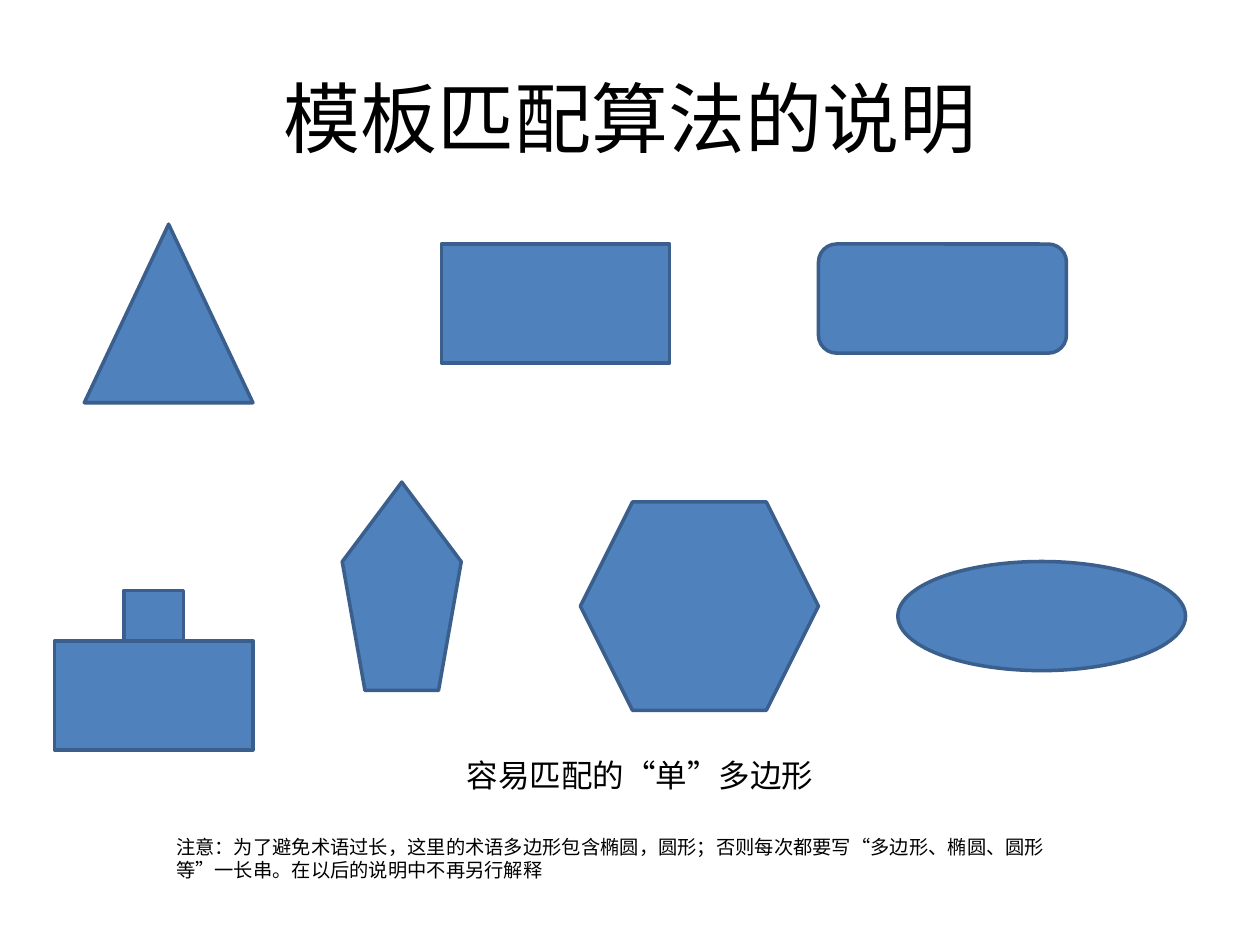
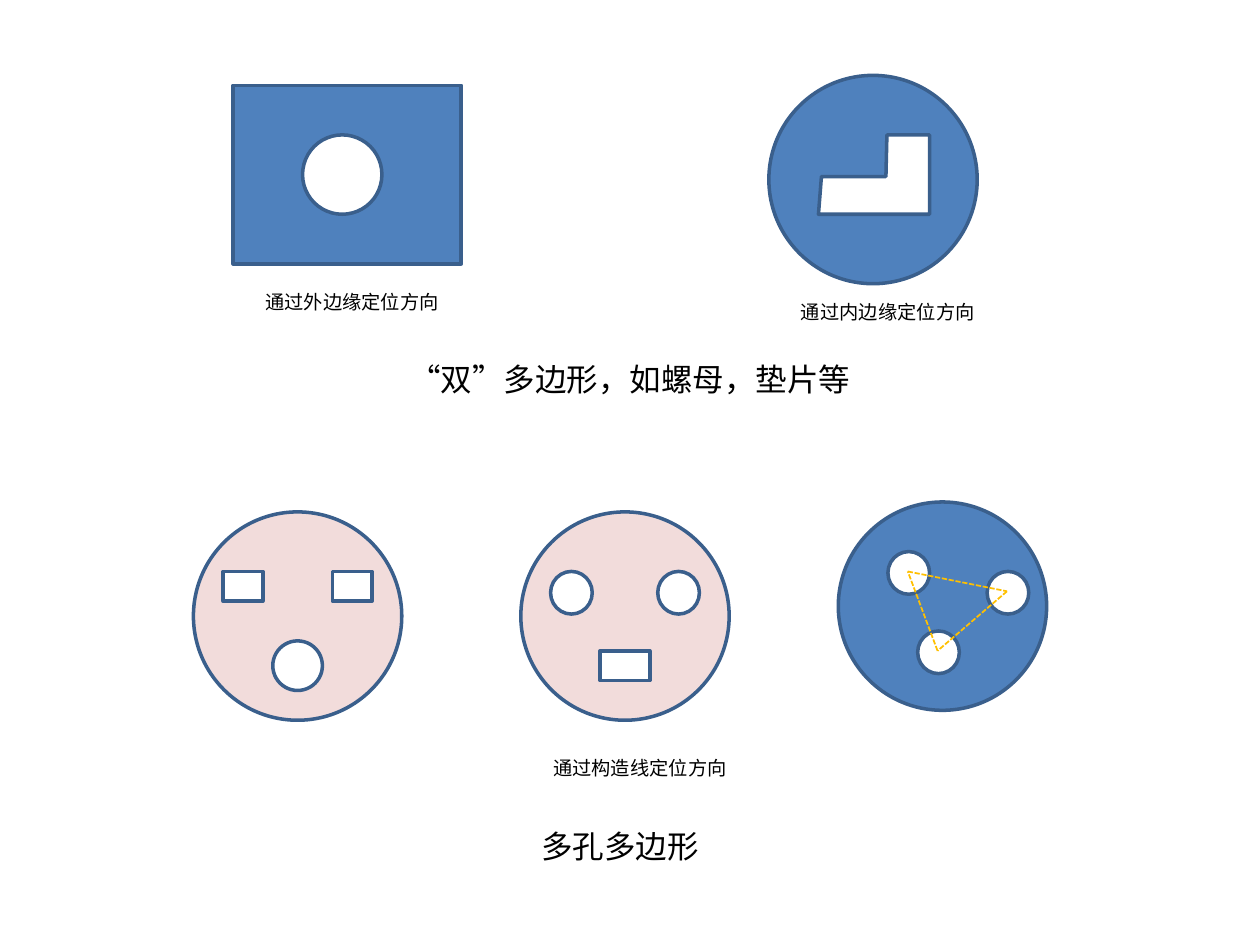
from pptx import Presentation
from pptx.dml.color import RGBColor
from pptx.enum.dml import MSO_LINE
from pptx.enum.shapes import MSO_CONNECTOR, MSO_SHAPE
from pptx.enum.text import MSO_ANCHOR, MSO_AUTO_SIZE, PP_ALIGN
from pptx.util import Inches, Pt
from lxml import etree

RECT, OVAL = MSO_SHAPE.RECTANGLE, MSO_SHAPE.OVAL
TRIANGLE, ROUNDED = MSO_SHAPE.ISOSCELES_TRIANGLE, MSO_SHAPE.ROUNDED_RECTANGLE
PENTAGON, HEXAGON = MSO_SHAPE.REGULAR_PENTAGON, MSO_SHAPE.HEXAGON
STRAIGHT, DASH = MSO_CONNECTOR.STRAIGHT, MSO_LINE.SQUARE_DOT
LEFT, CENTER = PP_ALIGN.LEFT, PP_ALIGN.CENTER
MIDDLE, TOP, GROW = MSO_ANCHOR.MIDDLE, MSO_ANCHOR.TOP, MSO_AUTO_SIZE.SHAPE_TO_FIT_TEXT
NONE = MSO_AUTO_SIZE.NONE

BLUE, EDGE, PINK, WHITE = "4F81BD", "3A5F8C", "F2DCDB", "FFFFFF"
GOLD, BLACK = "FFC000", "000000"
FONT = "Calibri"
A = "http://schemas.openxmlformats.org/drawingml/2006/main"

prs = Presentation()
prs.slide_width, prs.slide_height = Inches(10), Inches(7.5)
cell = prs.slide_width / 127


def grid(*cells):
    return [round(c * cell) for c in cells]


def paint(sp, fill, line=EDGE, width=2):
    sp.shadow.inherit = False
    sp.fill.solid()
    sp.fill.fore_color.rgb = RGBColor.from_string(fill)
    sp.line.color.rgb = RGBColor.from_string(line)
    sp.line.width = Pt(width)


single, multi = [prs.slides.add_slide(prs.slide_layouts[6]) for _ in range(2)]

shapes = [
    (single, RECT, BLUE, 12.5, 59.5, 6, 10),
    (single, TRIANGLE, BLUE, 8.5, 22.6, 17, 18),
    (single, RECT, BLUE, 44.5, 24.6, 23, 12),
    (single, ROUNDED, BLUE, 82.5, 24.6, 25, 11),
    (single, PENTAGON, BLUE, 34.5, 48.6, 12, 21),
    (single, HEXAGON, BLUE, 58.5, 50.6, 24, 21),
    (single, OVAL, BLUE, 90.5, 56.6, 29, 11),
    (single, RECT, BLUE, 5.5, 64.6, 20, 11),
    (multi, RECT, BLUE, 23.5, 8.6, 23, 18),
    (multi, OVAL, WHITE, 30.5, 13.6, 8, 8),
    (multi, OVAL, BLUE, 77.5, 7.6, 21, 21),
    (multi, OVAL, BLUE, 84.5, 50.6, 21, 21),
    (multi, OVAL, PINK, 19.5, 51.6, 21, 21),
    (multi, OVAL, WHITE, 27.5, 64.6, 5, 5),
    (multi, RECT, WHITE, 22.5, 57.6, 4, 3),
    (multi, RECT, WHITE, 33.5, 57.6, 4, 3),
    (multi, OVAL, PINK, 52.5, 51.6, 21, 21),
    (multi, RECT, WHITE, 60.5, 65.6, 5, 3),
]
holes = [(89.5, 55.6), (99.5, 57.6), (92.5, 63.6), (55.5, 57.6), (66.3, 57.6)]
shapes += [(multi, OVAL, WHITE, x, y, 4.2, 4.3) for x, y in holes]

for s, kind, fill, *box in shapes:
    paint(s.shapes.add_shape(kind, *grid(*box)), fill)

notch = [(82.5, 21.6), (93.7, 21.6), (93.7, 13.6), (89.4, 13.6), (89.3, 17.8), (82.8, 17.8)]
start, *rest = [grid(*point) for point in notch]
outline = multi.shapes.build_freeform(*start)
outline.add_line_segments(rest, close=True)
paint(outline.convert_to_shape(), WHITE)

corners = [(91.5, 57.6), (101.5, 59.6), (94.5, 65.6)]
for begin, end in zip(corners, corners[1:] + corners[:1]):
    line = multi.shapes.add_connector(STRAIGHT, *grid(*begin, *end))
    line.line.color.rgb = RGBColor.from_string(GOLD)
    line.line.width = Pt(1)
    line.line.dash_style = DASH
    etree.SubElement(line._element.spPr, f"{{{A}}}effectLst")

texts = [
    (single, "模板匹配算法的说明", 44, CENTER, MIDDLE, NONE, 6.35, 3.8, 114.3, 15.9),
    (single, "容易匹配的“单”多边形", 18, CENTER, TOP, GROW, 39.5, 75.6, 50, 5.1),
    (single, "注意：为了避免术语过长，这里的术语多边形包含椭圆，圆形；否则每次都要写“多边形、椭圆、圆形等”"
             "一长串。在以后的说明中不再另行解释", 11, LEFT, TOP, GROW, 16.5, 83.6, 93.5, 6),
    (multi, "通过外边缘定位方向", 11, CENTER, TOP, GROW, 23.5, 28.6, 24, 3.7),
    (multi, "通过内边缘定位方向", 11, CENTER, TOP, GROW, 77.5, 29.6, 24, 3.7),
    (multi, "通过构造线定位方向", 11, LEFT, TOP, GROW, 54.5, 75.6, 21, 3.7),
    (multi, "多孔多边形", 18, CENTER, TOP, GROW, 37.5, 82.7, 50, 5.1),
    (multi, "“双”多边形，如螺母，垫片等", 18, CENTER, TOP, GROW, 38.5, 35.7, 50, 5.1),
]
for s, text, size, align, anchor, fit, *box in texts:
    tf = s.shapes.add_textbox(*grid(*box)).text_frame
    tf.word_wrap = True
    tf.auto_size = fit
    tf.vertical_anchor = anchor
    p = tf.paragraphs[0]
    p.text = text
    p.alignment = align
    p.font.size = Pt(size)
    p.font.name = FONT
    p.font.color.rgb = RGBColor.from_string(BLACK)

prs.save("out.pptx")
